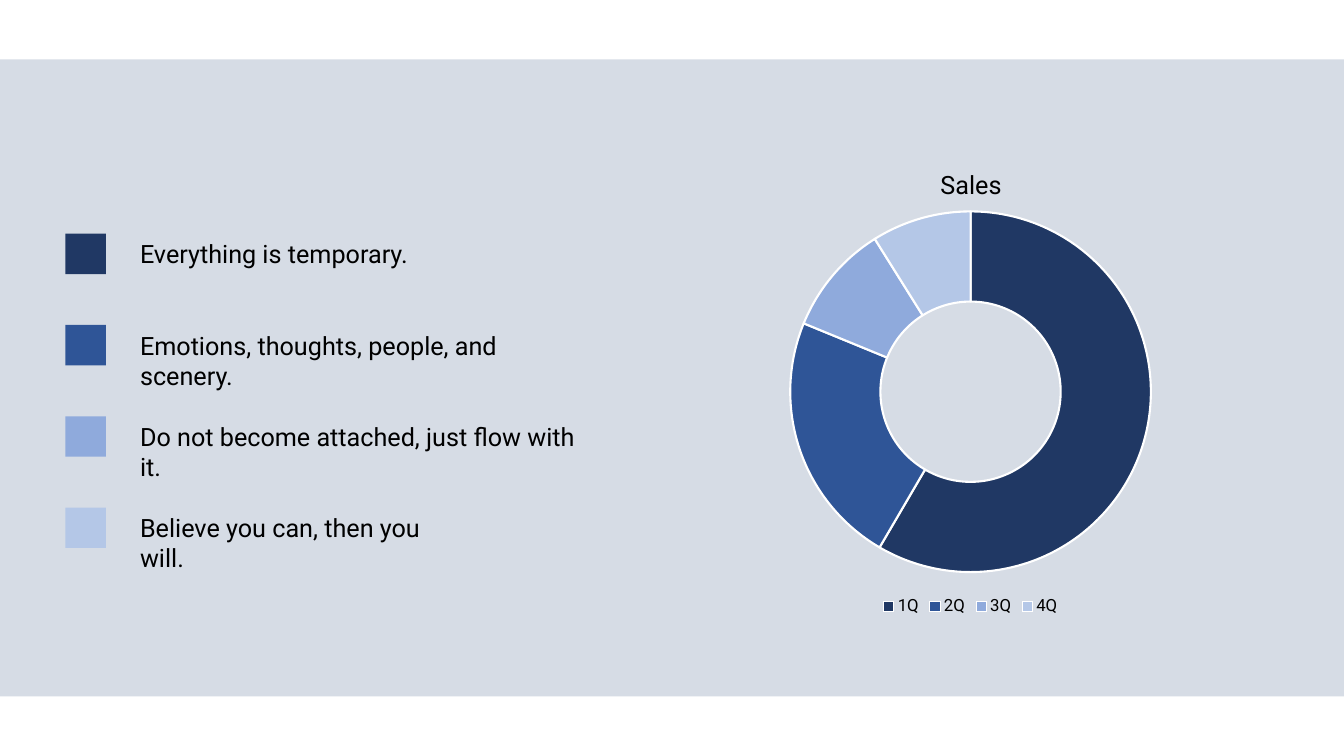
from lxml import etree
from pptx import Presentation
from pptx.chart.data import CategoryChartData
from pptx.dml.color import RGBColor
from pptx.enum.chart import XL_CHART_TYPE, XL_LEGEND_POSITION
from pptx.enum.shapes import MSO_SHAPE
from pptx.oxml.ns import qn
from pptx.util import Cm, Pt

RING = XL_CHART_TYPE.DOUGHNUT
BELOW = XL_LEGEND_POSITION.BOTTOM
RECT = MSO_SHAPE.RECTANGLE
FONT = "Roboto"
WIDE, HIGH = 33.87, 19.05
SHADES = ["203864", "2F5597", "8FAADC", "B4C7E7"]
SALES = {"1Q": 59, "2Q": 23, "3Q": 10, "4Q": 9}
NOTES = [
    ("Everything is temporary.", 7.26),
    ("Emotions, thoughts, people, and scenery.", 11.3),
    ("Do not become attached, just flow with it.", 11.58),
    ("Believe you can, then you will.", 8.41),
]


def color(code):
    """Turn a hex string into a colour."""
    return RGBColor.from_string(code)


def style(font, size):
    """Set the face, size and black colour of a font."""
    font.name = FONT
    font.size = Pt(size)
    font.bold = False
    font.color.rgb = color("000000")


def block(slide, box, code):
    """Draw a plain filled rectangle."""
    shape = slide.shapes.add_shape(RECT, *map(Cm, box))
    shape.shadow.inherit = False
    shape.fill.solid()
    shape.fill.fore_color.rgb = color(code)
    shape.line.fill.background()


def label(slide, box, text):
    """Write one wrapped line of body text."""
    frame = slide.shapes.add_textbox(*map(Cm, box)).text_frame
    frame.word_wrap = True
    frame.text = text
    style(frame.paragraphs[0].runs[0].font, 18)


def key(slide, left, top, side, step):
    """Stack the colour squares with their notes."""
    for row, (shade, (text, width)) in enumerate(zip(SHADES, NOTES)):
        level = top + row * step
        block(slide, (left, level, side, side), shade)
        label(slide, (left + 1.63, level, width, side), text)


def pin(node, index, **spot):
    """Fix a chart part at fractions of the chart area."""
    old = node.find(qn("c:layout"))
    if old is not None:
        node.remove(old)
    layout = etree.Element(qn("c:layout"))
    node.insert(index, layout)
    manual = etree.SubElement(layout, qn("c:manualLayout"))
    if "w" in spot:
        etree.SubElement(manual, qn("c:layoutTarget")).set("val", "inner")
    for axis in "xy":
        etree.SubElement(manual, qn(f"c:{axis}Mode")).set("val", "edge")
    for name, value in spot.items():
        etree.SubElement(manual, qn(f"c:{name}")).set("val", str(value))


def ring(slide, box):
    """Add the sales doughnut with its title and legend."""
    data = CategoryChartData()
    data.categories = list(SALES)
    data.add_series("Series 1", list(SALES.values()))
    chart = slide.shapes.add_chart(RING, *map(Cm, box), data).chart
    style(chart.font, 10)
    chart.has_title = True
    title = chart.chart_title
    title.text_frame.text = "Sales"
    style(title.text_frame.paragraphs[0].runs[0].font, 18)
    pin(title._element, 1, x=0.45, y=0.05)
    chart.has_legend = True
    chart.legend.position = BELOW
    chart.legend.include_in_layout = False
    style(chart.legend.font, 12)
    plot = chart.plots[0]
    plot.vary_by_categories = True
    plot.has_data_labels = False
    plot._element.find(qn("c:holeSize")).set("val", "75")
    pin(plot._element.getparent(), 0, x=0.24, y=0.15, w=0.52, h=0.75)
    for index, shade in enumerate(SHADES):
        part = plot.series[0].points[index].format
        part.fill.solid()
        part.fill.fore_color.rgb = color(shade)
        part.line.color.rgb = color("FFFFFF")
        part.line.width = Pt(1.5)


def build():
    """Build the slide and save it."""
    deck = Presentation()
    deck.slide_width, deck.slide_height = Cm(WIDE), Cm(HIGH)
    slide = deck.slides.add_slide(deck.slide_layouts[6])
    block(slide, (0, 1.5, WIDE, HIGH - 3), "D6DCE5")
    key(slide, 1.65, 5.89, 1.02, 2.3)
    ring(slide, (15.72, 3.51, 17.48, 12.12))
    deck.save("out.pptx")


build()
